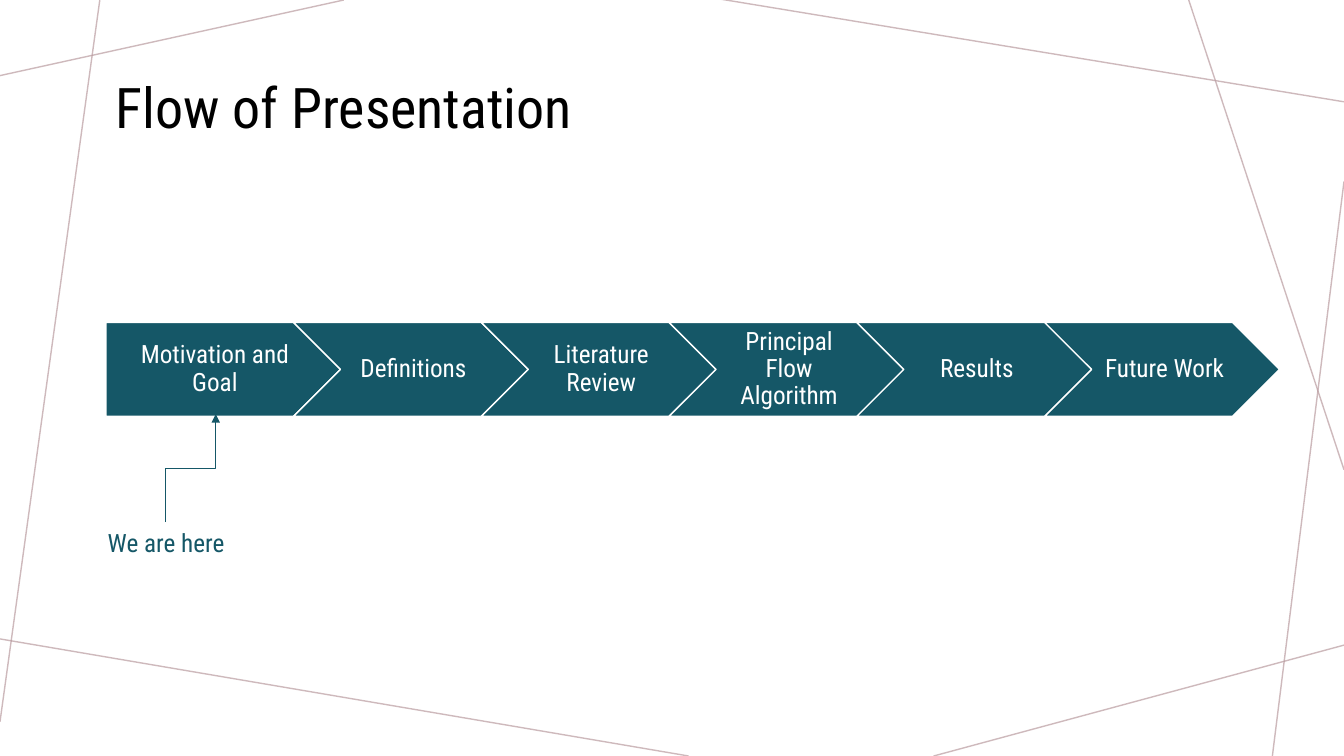
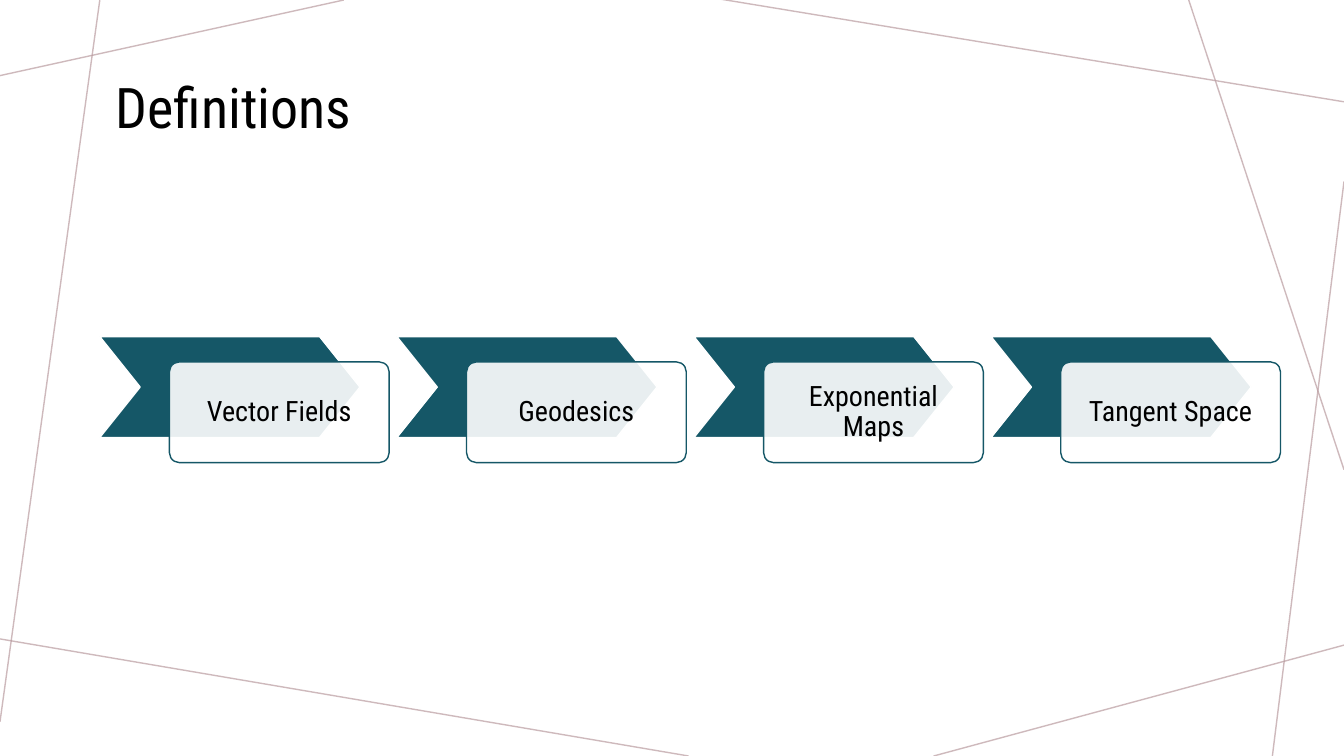
import pptx
import pptx.dml.color
import pptx.enum.shapes
import pptx.enum.text
import pptx.oxml.ns
import pptx.util
from lxml import etree

Inches = pptx.util.Inches
Pt = pptx.util.Pt
RGBColor = pptx.dml.color.RGBColor
SHAPE = pptx.enum.shapes.MSO_SHAPE
CONNECTOR = pptx.enum.shapes.MSO_CONNECTOR
ANCHOR = pptx.enum.text.MSO_ANCHOR
ALIGN = pptx.enum.text.PP_ALIGN
qn = pptx.oxml.ns.qn

TEAL = RGBColor(0x15, 0x57, 0x67)
MAUVE = RGBColor(0xBA, 0x9C, 0xA0)
WHITE = RGBColor(0xFF, 0xFF, 0xFF)
BLACK = RGBColor(0x00, 0x00, 0x00)
FONT = "Roboto Condensed"

SLIDE_WIDTH, SLIDE_HEIGHT = 13.33, 7.5
WEB_LINES = [
    (3.41, 0, 0, 0.75),
    (0.99, 0, 0, 7.16),
    (6.83, SLIDE_HEIGHT, -0.05, 6.33),
    (SLIDE_WIDTH, 6.4, 9.26, SLIDE_HEIGHT),
    (SLIDE_WIDTH, 1.8, 12.62, SLIDE_HEIGHT),
    (SLIDE_WIDTH, 4.66, 11.79, 0),
    (SLIDE_WIDTH, 1.01, 7.14, -0.01),
]
TITLE_BOX = (1.05, 0.67, 10.07, 0.77)

STAGES = ["Motivation and Goal", "Definitions", "Literature Review",
          "Principal Flow Algorithm", "Results", "Future Work"]
TERMS = ["Vector Fields", "Geodesics", "Exponential Maps", "Tangent Space"]


def write(shape, text, size=18, color=BLACK, align=ALIGN.LEFT, anchor=ANCHOR.TOP,
          margins=(0.1, 0.05, 0.1, 0.05), line_spacing=1.0):
    frame = shape.text_frame
    frame.word_wrap = True
    frame.vertical_anchor = anchor
    (frame.margin_left, frame.margin_top,
     frame.margin_right, frame.margin_bottom) = map(Inches, margins)
    paragraph = frame.paragraphs[0]
    paragraph.alignment = align
    paragraph.line_spacing = line_spacing
    run = paragraph.add_run()
    run.text = text
    run.font.name = FONT
    run.font.size = Pt(size)
    run.font.color.rgb = color


def add_label(slide, box, text, **style):
    label = slide.shapes.add_textbox(*map(Inches, box))
    write(label, text, **style)
    label.text_frame.auto_size = pptx.enum.text.MSO_AUTO_SIZE.SHAPE_TO_FIT_TEXT


def set_opacity(fill_parent, percent):
    color = fill_parent.find(qn("a:solidFill"))[0]
    etree.SubElement(color, qn("a:alpha")).set("val", str(percent * 1000))


def add_panel(slide, preset, box, fill, line, adjustment=None):
    panel = slide.shapes.add_shape(preset, *map(Inches, box))
    panel.shadow.inherit = False
    panel.fill.solid()
    panel.fill.fore_color.rgb = fill
    panel.line.color.rgb = line
    panel.line.width = Pt(1)
    if adjustment is not None:
        panel.adjustments[0] = adjustment
    return panel


def add_line(slide, ends, color, width, kind=CONNECTOR.STRAIGHT):
    line = slide.shapes.add_connector(kind, *map(Inches, ends))
    line.line.color.rgb = color
    line.line.width = Pt(width)
    etree.SubElement(line._element.spPr, qn("a:effectLst"))
    return line


def add_base(deck, title):
    slide = deck.slides.add_slide(deck.slide_layouts[6])
    slide.background.fill.solid()
    slide.background.fill.fore_color.rgb = WHITE
    for ends in WEB_LINES:
        strand = add_line(slide, ends, MAUVE, 1)
        set_opacity(strand.line._get_or_add_ln(), 70)
    add_label(slide, TITLE_BOX, title, size=40)
    return slide


def add_stage_flow(slide, box, stages):
    left, top, width, height = box
    overlap = height / 2
    stage_width = (width + overlap * (len(stages) - 1)) / len(stages)
    for index, stage in enumerate(stages):
        first = index == 0
        arrow = add_panel(
            slide, SHAPE.PENTAGON if first else SHAPE.CHEVRON,
            (left + index * (stage_width - overlap), top, stage_width, height),
            TEAL, WHITE, 0.5)
        write(arrow, stage, color=WHITE, align=ALIGN.CENTER, anchor=ANCHOR.MIDDLE,
              margins=(0.1 if first else 0.08, 0.05, 0.03, 0.05), line_spacing=0.9)


def add_marker(slide, box, text):
    left, top, width, height = box
    add_label(slide, box, text, color=TEAL)
    rise, shift = 1.07, 0.5
    center_x, center_y = left + 0.67 + shift / 2, top - rise / 2
    pointer = add_line(
        slide,
        (center_x + rise / 2, center_y + shift / 2,
         center_x - rise / 2, center_y - shift / 2),
        TEAL, 0.5, CONNECTOR.ELBOW)
    pointer._element.spPr.find(qn("a:xfrm")).set("rot", str(90 * 60000))
    etree.SubElement(pointer.line._get_or_add_ln(), qn("a:tailEnd")).set("type", "triangle")


def add_term_row(slide, box, terms):
    left, top, width, height = box
    arrow_width, card_width, card_shift = 2.58, 2.18, 0.69
    pitch = (width - card_shift - card_width) / (len(terms) - 1)
    for index, term in enumerate(terms):
        term_left = left + index * pitch
        add_panel(slide, SHAPE.CHEVRON, (term_left, top, arrow_width, height),
                  TEAL, WHITE, 0.4)
        card = add_panel(
            slide, SHAPE.ROUNDED_RECTANGLE,
            (term_left + card_shift, top + height / 4, card_width, height),
            WHITE, TEAL, 0.1)
        set_opacity(card._element.spPr, 90)
        write(card, term, size=20, align=ALIGN.CENTER, anchor=ANCHOR.MIDDLE,
              margins=(0.16,) * 4, line_spacing=0.9)


def build_flow_slide(deck):
    slide = add_base(deck, "Flow of Presentation")
    add_stage_flow(slide, (1.05, 3.2, 11.64, 0.93), STAGES)
    add_marker(slide, (0.97, 5.18, 1.69, 0.4), "We are here")


def build_definitions_slide(deck):
    slide = add_base(deck, "Definitions")
    add_term_row(slide, (0.99, 3.34, 11.71, 1), TERMS)


def main():
    deck = pptx.Presentation()
    deck.slide_width = Inches(SLIDE_WIDTH)
    deck.slide_height = Inches(SLIDE_HEIGHT)
    build_flow_slide(deck)
    build_definitions_slide(deck)
    deck.save("out.pptx")


if __name__ == "__main__":
    main()
